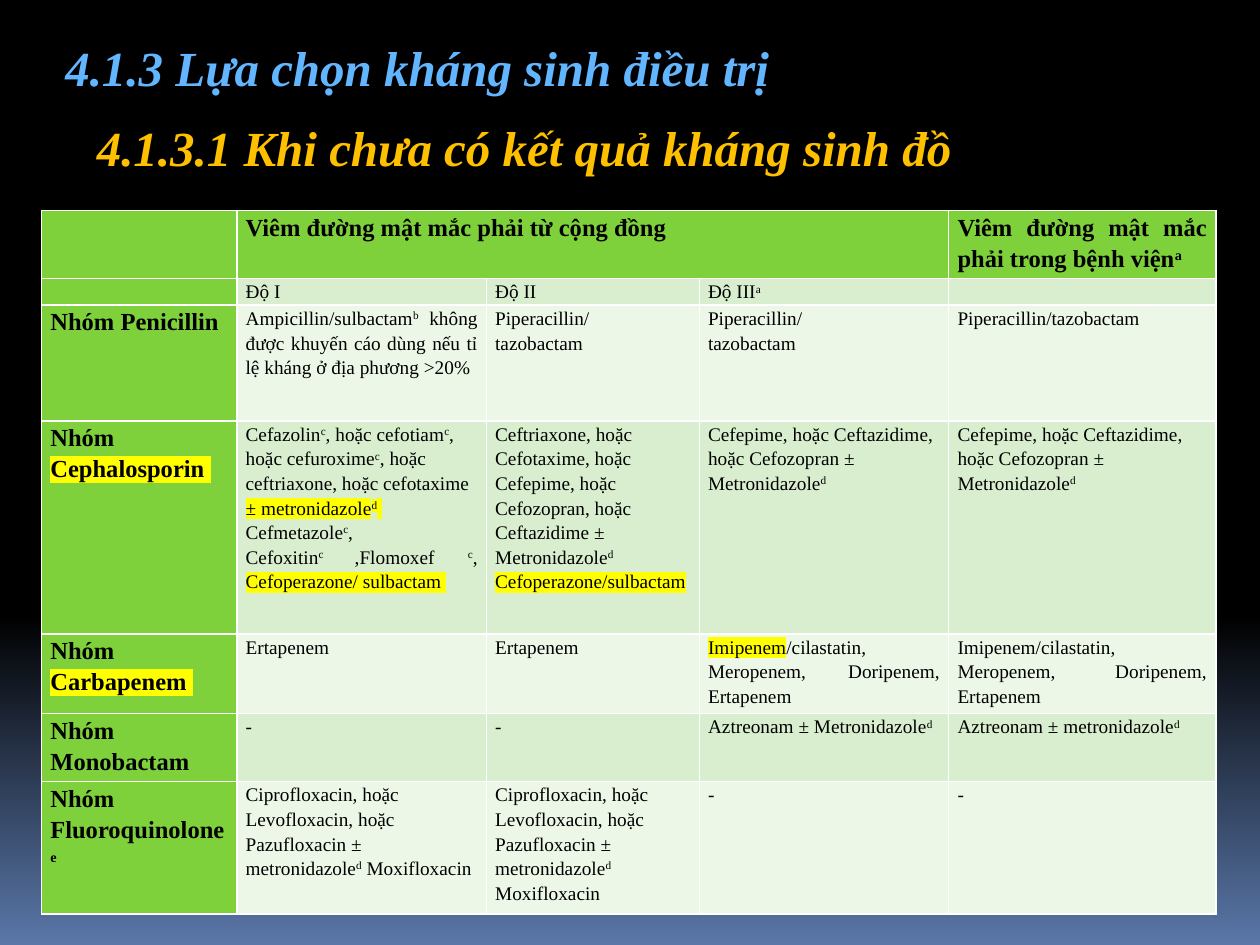
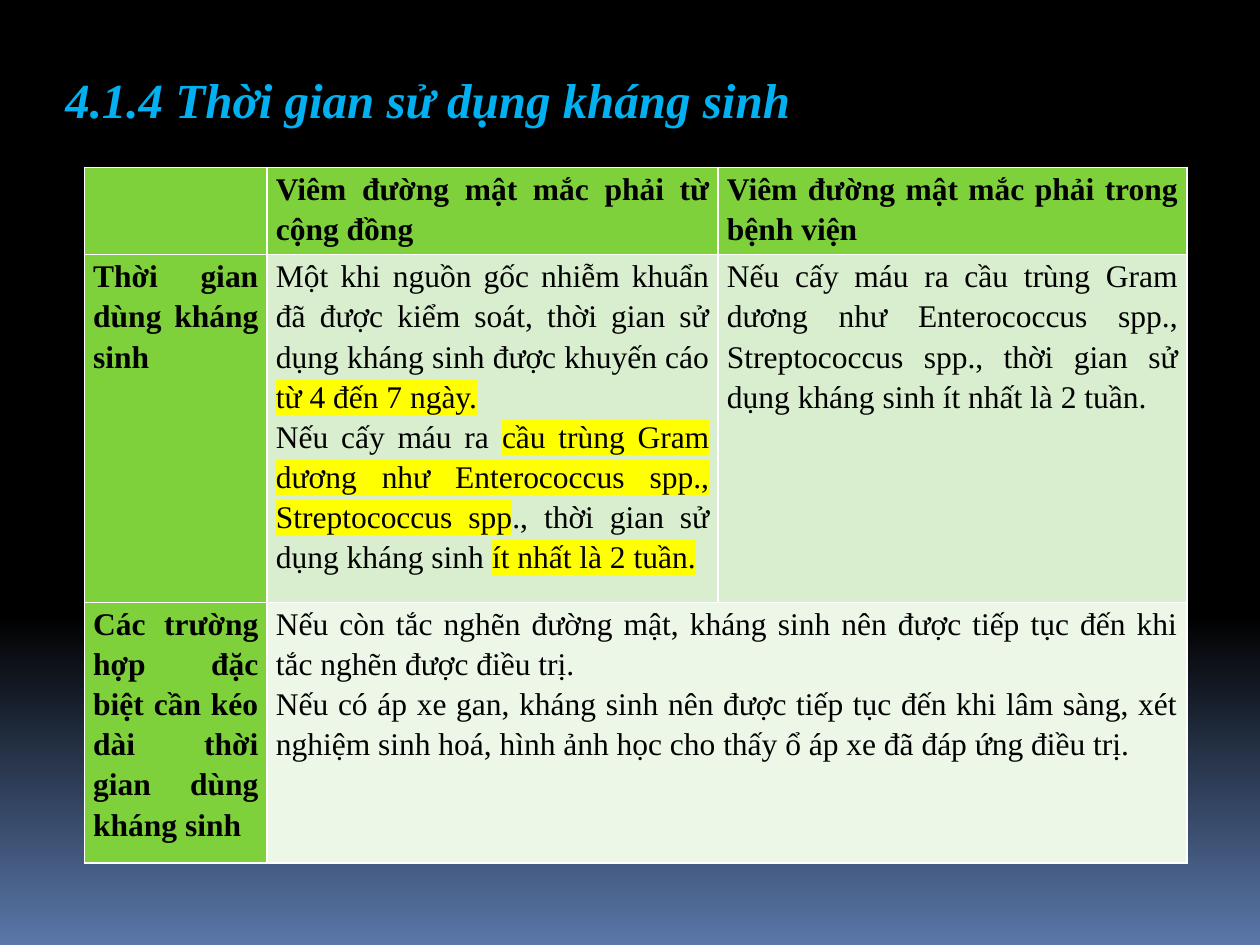
"""Builds two slides on choosing antibiotics and on how long to use them."""
from lxml.etree import SubElement
from pptx import Presentation
from pptx.dml.color import RGBColor
from pptx.enum.text import MSO_AUTO_SIZE, PP_ALIGN
from pptx.oxml.ns import qn
from pptx.util import Inches, Pt

COLORS = {
    "black": "000000",
    "night_blue": "5A77A9",
    "sky": "61B6FF",
    "gold": "FFC000",
    "cyan": "00B0F0",
    "green": "7FD13B",
    "light_green": "D8EECE",
    "pale_green": "ECF7E8",
    "yellow": "FFFF00",
}
FONT = "Times New Roman"
SUPERSCRIPT = "^"
HIGHLIGHT = "*"
LEFT_ALIGNED = "<"

PIPERACILLIN = "Piperacillin/\ntazobactam "
CEFEPIME = "<Cefepime, hoặc Ceftazidime, hoặc Cefozopran ± Metronidazole^d^"
CIPROFLOXACIN = ("<Ciprofloxacin, hoặc Levofloxacin, hoặc Pazufloxacin ± "
                 "metronidazole^d^ Moxifloxacin")
COMMUNITY = "Viêm đường mật mắc phải từ cộng đồng"
HOSPITAL = "Viêm đường mật mắc phải trong bệnh viện"

ANTIBIOTIC_ROWS = [
    ["", COMMUNITY, "", "", HOSPITAL + "^a^"],
    ["", "Độ I", "Độ II", "Độ III^a^", ""],
    ["Nhóm Penicillin",
     "Ampicillin/sulbactam^b ^không được khuyến cáo dùng nếu tỉ lệ kháng "
     "ở địa phương >20%",
     PIPERACILLIN, PIPERACILLIN, "Piperacillin/tazobactam "],
    ["Nhóm *Cephalosporin *",
     "<Cefazolin^c^, hoặc cefotiam^c^, hoặc cefuroxime^c^, hoặc ceftriaxone, "
     "hoặc cefotaxime *± metronidazole^d^ *\n"
     "Cefmetazole^c^, Cefoxitin^c ^,Flomoxef ^c^, *Cefoperazone/ sulbactam *",
     "<Ceftriaxone, hoặc Cefotaxime, hoặc Cefepime, hoặc Cefozopran, hoặc "
     "Ceftazidime ± Metronidazole^d^\n*Cefoperazone/sulbactam *",
     CEFEPIME, CEFEPIME],
    ["Nhóm *Carbapenem *", "Ertapenem ", "Ertapenem ",
     "*Imipenem*/cilastatin, Meropenem, Doripenem, Ertapenem ",
     "Imipenem/cilastatin, Meropenem, Doripenem, Ertapenem "],
    ["Nhóm Monobactam ", "-", "-",
     "<Aztreonam ± Metronidazole^d^", "<Aztreonam ± metronidazole^d^"],
    ["Nhóm Fluoroquinolone^e ^", CIPROFLOXACIN, CIPROFLOXACIN, "-", "-"],
]

DURATION_ROWS = [
    ["", COMMUNITY, HOSPITAL],
    ["Thời gian dùng kháng sinh",
     "Một khi nguồn gốc nhiễm khuẩn đã được kiểm soát, thời gian sử dụng "
     "kháng sinh được khuyến cáo *từ 4 đến 7 ngày.*\n"
     "Nếu cấy máu ra *cầu trùng Gram dương như Enterococcus spp., "
     "Streptococcus spp*., thời gian sử dụng kháng sinh *ít nhất là 2 tuần.*",
     "Nếu cấy máu ra cầu trùng Gram dương như Enterococcus spp., "
     "Streptococcus spp., thời gian sử dụng kháng sinh ít nhất là 2 tuần."],
    ["Các trường hợp đặc biệt cần kéo dài thời gian dùng kháng sinh",
     "Nếu còn tắc nghẽn đường mật, kháng sinh nên được tiếp tục đến khi "
     "tắc nghẽn được điều trị. \n"
     "Nếu có áp xe gan, kháng sinh nên được tiếp tục đến khi lâm sàng, xét "
     "nghiệm sinh hoá, hình ảnh học cho thấy ổ áp xe đã đáp ứng điều trị.",
     ""],
]


class Deck:
    def __init__(self):
        self.presentation = Presentation()
        self.presentation.slide_width = Inches(10)
        self.presentation.slide_height = Inches(7.5)
        self.slide = None

    def color(self, name):
        return RGBColor.from_string(COLORS[name])

    def add_slide(self):
        layout = self.presentation.slide_layouts[6]
        self.slide = self.presentation.slides.add_slide(layout)
        fill = self.slide.background.fill
        fill.gradient()
        fill.gradient_angle = 270
        stops = [("black", 0.65), ("night_blue", 1)]
        for stop, (name, position) in zip(fill.gradient_stops, stops):
            stop.color.rgb = self.color(name)
            stop.position = position

    def style(self, paragraph, size, color, bold, italic=False):
        font = paragraph.font
        font.name = FONT
        font.size = Pt(size)
        font.bold = bold
        font.italic = italic
        font.color.rgb = self.color(color)

    def add_title(self, text, left, top, width, color):
        box = self.slide.shapes.add_textbox(
            Inches(left), Inches(top), Inches(width), Inches(0.57))
        frame = box.text_frame
        frame.word_wrap = True
        frame.auto_size = MSO_AUTO_SIZE.SHAPE_TO_FIT_TEXT
        paragraph = frame.paragraphs[0]
        paragraph.text = text
        self.style(paragraph, 28, color, bold=True, italic=True)

    def add_runs(self, paragraph, markup):
        for marked, section in enumerate(markup.split(HIGHLIGHT)):
            for raised, text in enumerate(section.split(SUPERSCRIPT)):
                if not text:
                    continue
                run = paragraph.add_run()
                run.text = text
                properties = run._r.get_or_add_rPr()
                if raised % 2:
                    properties.set("baseline", "30000")
                if marked % 2:
                    highlight = SubElement(properties, qn("a:highlight"))
                    SubElement(highlight, qn("a:srgbClr"), val=COLORS["yellow"])

    def fill_cell(self, cell, markup, fill, size, bold):
        cell.fill.solid()
        cell.fill.fore_color.rgb = self.color(fill)
        cell.margin_left = cell.margin_right = Inches(0.07)
        cell.margin_top = cell.margin_bottom = 0
        frame = cell.text_frame
        for index, line in enumerate(markup.split("\n")):
            paragraph = frame.add_paragraph() if index else frame.paragraphs[0]
            left = line.startswith(LEFT_ALIGNED)
            paragraph.alignment = PP_ALIGN.LEFT if left else PP_ALIGN.JUSTIFY
            paragraph.line_spacing = 1.15
            self.style(paragraph, size, "black", bold)
            self.add_runs(paragraph, line.removeprefix(LEFT_ALIGNED))

    def add_table(self, rows, left, top, widths, heights, head_size, body_size, merge):
        table = self.slide.shapes.add_table(
            len(rows), len(widths), Inches(left), Inches(top),
            Inches(sum(widths)), Inches(sum(heights))).table
        for column, width in zip(table.columns, widths):
            column.width = Inches(width)
        for row, height in zip(table.rows, heights):
            row.height = Inches(height)
        for row_index, row in enumerate(rows):
            band = "light_green" if row_index % 2 else "pale_green"
            for column_index, markup in enumerate(row):
                heading = row_index == 0 or column_index == 0
                small = not heading or not any(row[:1]) and row_index > 0
                self.fill_cell(
                    table.cell(row_index, column_index), markup,
                    "green" if heading else band,
                    body_size if small else head_size, heading)
        (first, last) = merge
        table.cell(*first).merge(table.cell(*last))


def main():
    deck = Deck()

    deck.add_slide()
    deck.add_title("4.1.3 Lựa chọn kháng sinh điều trị", 0.42, 0.25, 7.75, "sky")
    deck.add_title("4.1.3.1 Khi chưa có kết quả kháng sinh đồ",
                   0.67, 0.88, 8.08, "gold")
    deck.add_table(ANTIBIOTIC_ROWS, 0.33, 1.67,
                   widths=[1.55, 1.98, 1.69, 1.98, 2.12],
                   heights=[0.54, 0.21, 0.92, 1.69, 0.63, 0.54, 1.05],
                   head_size=14, body_size=11, merge=((0, 1), (0, 3)))

    deck.add_slide()
    deck.add_title("4.1.4 Thời gian sử dụng kháng sinh", 0.42, 0.5, 7.75, "cyan")
    deck.add_table(DURATION_ROWS, 0.67, 1.33,
                   widths=[1.45, 3.58, 3.72], heights=[0.69, 2.76, 2.07],
                   head_size=18, body_size=18, merge=((2, 1), (2, 2)))

    deck.presentation.save("out.pptx")


if __name__ == "__main__":
    main()
